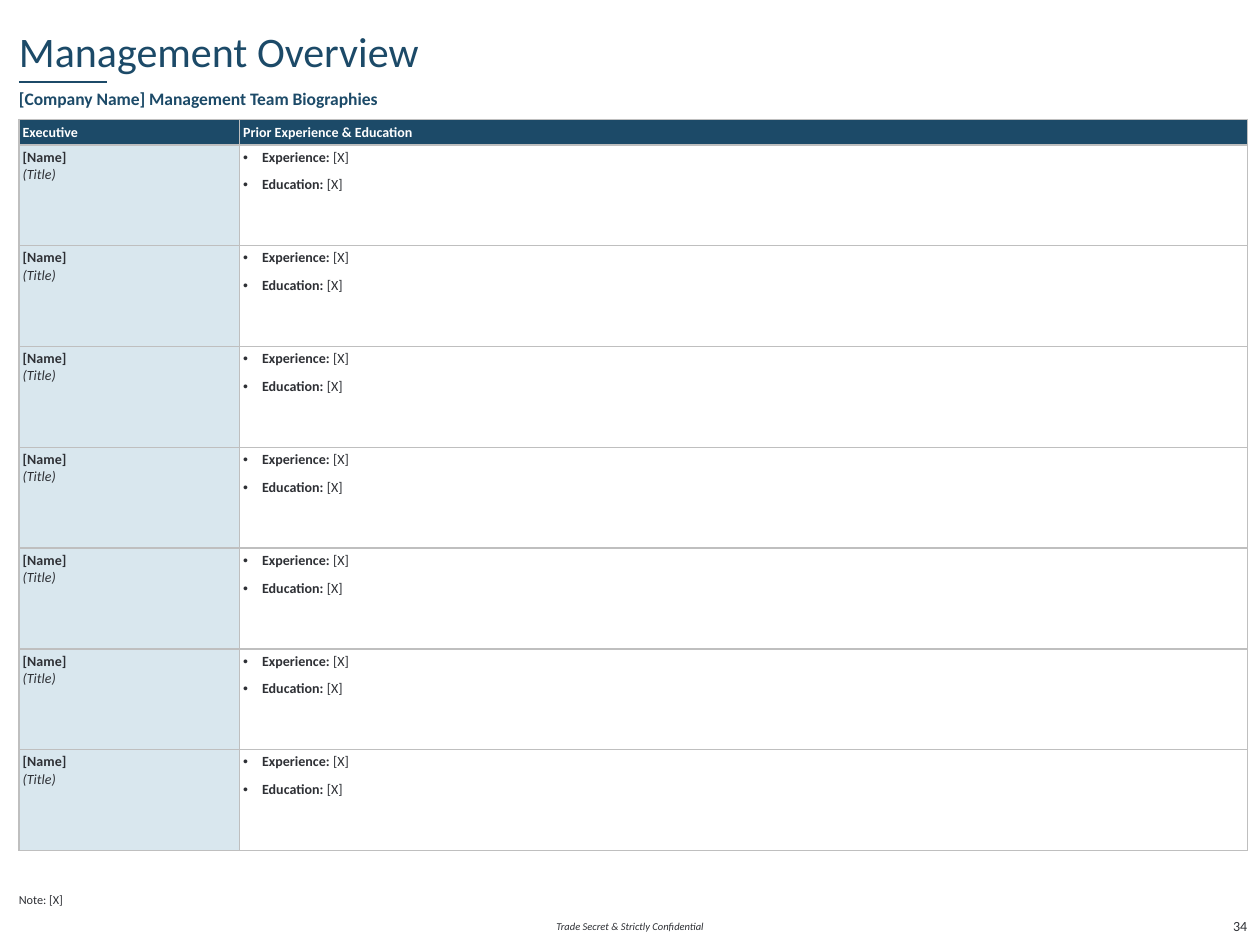
from pptx import Presentation, util as u
from pptx.dml.color import RGBColor
from pptx.enum import shapes, text
from pptx.oxml.ns import qn
from lxml import etree

TITLE = "Management Overview"
SUBTITLE = "[Company Name] Management Team Biographies"
HEADERS = ["Executive", "Prior Experience & Education"]
EXECUTIVES = [
    {
        "name": "[Name]",
        "title": "(Title)",
        "background": [("Experience:", "[X]"), ("Education:", "[X]")],
    }
] * 7
NOTE = "Note: [X]"
FOOTER = "Trade Secret & Strictly Confidential"
PAGE_NUMBER = "34"

NAVY = RGBColor(0x1C, 0x4A, 0x68)
INK = RGBColor(0x2E, 0x30, 0x35)
PALE = RGBColor(0xD9, 0xE7, 0xEE)
WHITE = RGBColor(0xFF, 0xFF, 0xFF)
BORDER = "BFBFBF"
FONT = "Calibri"

WIDTH, HEIGHT = 10, 7.5
LEFT, RIGHT = 0.15, 9.9
CONTENT = RIGHT - LEFT
NAME_COLUMN = 1.75
HEADER_ROW, BODY_ROW = 0.2, 0.8
TABLE_TOP = 0.95
FOOTER_TOP, FOOTER_HEIGHT = 7.25, 0.2
FOOTER_WIDTH = 1.4
NUMBER_WIDTH = 0.3
CELL_MARGIN = 0.03
BULLET_INDENT = 0.15


def style(font, size, color, bold=False, italic=False):
    font.name = FONT
    font.size = u.Pt(size)
    font.color.rgb = color
    font.bold = bold
    font.italic = italic


def set_text(box, area, content, size, color, align, anchor, bold=False, italic=False):
    box.left, box.top, box.width, box.height = [u.Inches(value) for value in area]
    frame = box.text_frame
    frame.text = content
    frame.word_wrap = True
    frame.auto_size = text.MSO_AUTO_SIZE.NONE
    frame.vertical_anchor = anchor
    frame.margin_left = frame.margin_right = frame.margin_top = frame.margin_bottom = 0
    para = frame.paragraphs[0]
    para.alignment = align
    style(para.runs[0].font, size, color, bold, italic)


def add_bullet(para):
    properties = para._p.get_or_add_pPr()
    properties.set("marL", str(u.Inches(BULLET_INDENT)))
    properties.set("indent", str(u.Inches(-BULLET_INDENT)))
    etree.SubElement(properties, qn("a:buFont")).set("typeface", "Arial")
    etree.SubElement(properties, qn("a:buChar")).set("char", "•")
    para.space_after = u.Pt(6)


def format_cell(cell, fill=None, anchor=text.MSO_ANCHOR.TOP):
    cell.margin_left = cell.margin_right = u.Inches(CELL_MARGIN)
    cell.margin_top = cell.margin_bottom = u.Inches(CELL_MARGIN)
    cell.vertical_anchor = anchor
    properties = cell._tc.get_or_add_tcPr()
    for side in ("a:lnL", "a:lnR", "a:lnT", "a:lnB"):
        line = etree.SubElement(properties, qn(side), w=str(u.Pt(1)))
        solid = etree.SubElement(line, qn("a:solidFill"))
        etree.SubElement(solid, qn("a:srgbClr"), val=BORDER)
    if fill is None:
        cell.fill.background()
    else:
        cell.fill.solid()
        cell.fill.fore_color.rgb = fill


def fill_executive(name_cell, background_cell, executive):
    name_cell.text_frame.text = f"{executive['name']}\n{executive['title']}"
    name, title = name_cell.text_frame.paragraphs
    style(name.runs[0].font, 8, INK, bold=True)
    style(title.runs[0].font, 8, INK, italic=True)
    format_cell(name_cell, PALE)

    frame = background_cell.text_frame
    for index, (label, detail) in enumerate(executive["background"]):
        para = frame.add_paragraph() if index else frame.paragraphs[0]
        add_bullet(para)
        for content, bold in ((label, True), (f" {detail}", False)):
            span = para.add_run()
            span.text = content
            style(span.font, 8, INK, bold)
    format_cell(background_cell)


def add_biographies(page):
    row_heights = [HEADER_ROW] + [BODY_ROW] * len(EXECUTIVES)
    table = page.shapes.add_table(
        len(row_heights), len(HEADERS), u.Inches(LEFT), u.Inches(TABLE_TOP),
        u.Inches(CONTENT), u.Inches(sum(row_heights)),
    ).table
    table.first_row = table.horz_banding = False
    for column, width in zip(table.columns, (NAME_COLUMN, CONTENT - NAME_COLUMN)):
        column.width = u.Inches(width)
    for row, height in zip(table.rows, row_heights):
        row.height = u.Inches(height)
    for column, header in enumerate(HEADERS):
        cell = table.cell(0, column)
        cell.text_frame.text = header
        style(cell.text_frame.paragraphs[0].runs[0].font, 8, WHITE, bold=True)
        format_cell(cell, NAVY, text.MSO_ANCHOR.MIDDLE)
    for row, executive in enumerate(EXECUTIVES, start=1):
        fill_executive(table.cell(row, 0), table.cell(row, 1), executive)


def main():
    align, anchor = text.PP_ALIGN, text.MSO_ANCHOR
    deck = Presentation()
    deck.slide_width, deck.slide_height = u.Inches(WIDTH), u.Inches(HEIGHT)
    page = deck.slides.add_slide(deck.slide_layouts[5])

    set_text(page.shapes.title, (LEFT, 0.15, CONTENT, 0.5), TITLE, 24, NAVY,
             align.LEFT, anchor.MIDDLE)
    rule = page.shapes.add_connector(
        shapes.MSO_CONNECTOR.STRAIGHT,
        u.Inches(LEFT), u.Inches(0.65), u.Inches(LEFT + 0.7), u.Inches(0.65),
    )
    rule.line.color.rgb = NAVY
    rule.line.width = u.Pt(1.5)
    etree.SubElement(rule._element.spPr, qn("a:effectLst"))

    footer_area = ((WIDTH - FOOTER_WIDTH) / 2, FOOTER_TOP, FOOTER_WIDTH, FOOTER_HEIGHT)
    number_area = (RIGHT - NUMBER_WIDTH, FOOTER_TOP, NUMBER_WIDTH, FOOTER_HEIGHT)
    labels = [
        ((LEFT, 0.7, CONTENT, 0.25), SUBTITLE, 10, NAVY, align.JUSTIFY, anchor.TOP, True),
        ((LEFT, 6.8, CONTENT, 0.4), NOTE, 7, INK, align.JUSTIFY, anchor.BOTTOM),
        (footer_area, FOOTER, 6, INK, align.CENTER, anchor.MIDDLE, False, True),
        (number_area, PAGE_NUMBER, 8, INK, align.RIGHT, anchor.MIDDLE),
    ]
    for label in labels:
        set_text(page.shapes.add_textbox(0, 0, 0, 0), *label)

    add_biographies(page)
    deck.save("out.pptx")


if __name__ == "__main__":
    main()
